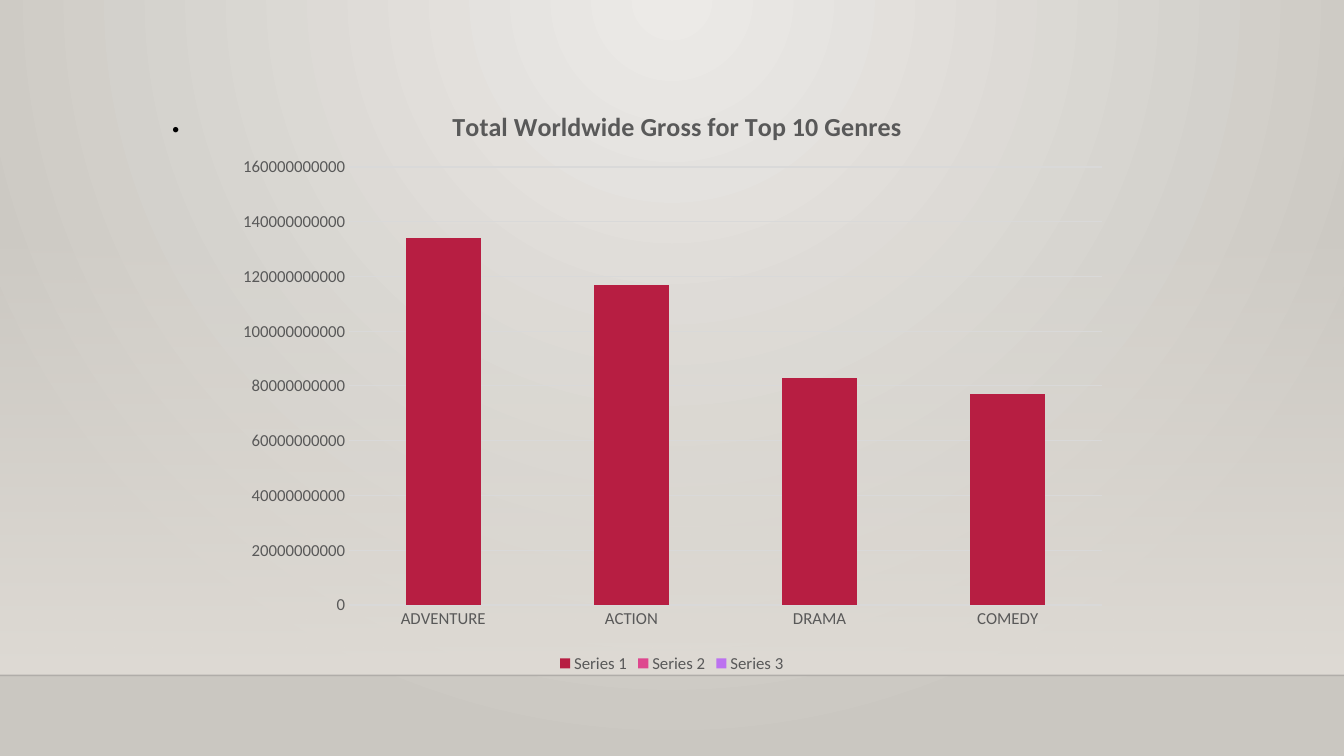
from lxml.etree import SubElement
from pptx import Presentation
from pptx.chart.data import CategoryChartData
from pptx.dml.color import RGBColor
from pptx.enum.chart import XL_CHART_TYPE, XL_LEGEND_POSITION, XL_TICK_MARK
from pptx.enum.shapes import MSO_CONNECTOR, MSO_SHAPE
from pptx.enum.text import MSO_ANCHOR
from pptx.oxml import parse_xml
from pptx.oxml.ns import nsdecls, qn
from pptx.util import Cm, Pt

COLORS = {
    "light": "ECEAE7", "dark": "CAC7C1", "floor": "DFDBD5", "edge": "000001",
    "text": "000000", "label": "595959", "grid": "D9D9D9",
    "Series 1": "B71E42", "Series 2": "DE478E", "Series 3": "BC72F0",
}
FONT = "Calibri"
WIDTH, HEIGHT, FLOOR_Y = 33.87, 19.05, 17.02
GENRES = ["ADVENTURE", "ACTION", "DRAMA", "COMEDY"]
SERIES = {
    "Series 1": [134e9, 117e9, 83e9, 77e9],
    "Series 2": [0] * 4,
    "Series 3": [0] * 4,
}


def rgb(name):
    return RGBColor.from_string(COLORS[name])


def set_font(f, size, color, bold=False):
    f.name, f.size, f.bold = FONT, Pt(size), bold
    f.color.rgb = rgb(color)


def set_line(line, color, width):
    line.color.rgb = rgb(color)
    line.width = Pt(width)


def set_gradient(fill, parent, stops, direction):
    fill.solid()
    gs = "".join(
        f'<a:gs pos="{pos * 1000}"><a:srgbClr val="{COLORS[name]}">'
        f'<a:alpha val="{alpha * 1000}"/></a:srgbClr></a:gs>'
        for pos, name, alpha in stops)
    grad = parse_xml(f'<a:gradFill {nsdecls("a")} rotWithShape="1">'
                     f'<a:gsLst>{gs}</a:gsLst>{direction}</a:gradFill>')
    parent.replace(parent.find(qn("a:solidFill")), grad)


def set_layout(element, index, **values):
    for old in element.findall(qn("c:layout")):
        element.remove(old)
    items = "".join(f'<c:{k} val="{v}"/>' for k, v in values.items())
    element.insert(index, parse_xml(
        f'<c:layout {nsdecls("c")}><c:manualLayout>{items}'
        '</c:manualLayout></c:layout>'))


def add_background(s):
    fill = s.background.fill
    fill.solid()
    set_gradient(fill, s._element.find(".//" + qn("p:bgPr")),
                 [(0, "light", 100), (100, "dark", 100)],
                 '<a:path path="circle"><a:fillToRect l="43000" r="43000" '
                 'b="100000"/></a:path>')


def add_floor(s):
    sp = s.shapes.add_shape(MSO_SHAPE.RECTANGLE, 0, Cm(5.61),
                            Cm(WIDTH), Cm(FLOOR_Y - 5.61))
    sp.shadow.inherit = False
    sp.line.fill.background()
    set_gradient(sp.fill, sp._element.spPr,
                 [(0, "floor", 0), (100, "floor", 100)],
                 '<a:lin ang="5400000" scaled="0"/>')


def add_edge(s):
    cn = s.shapes.add_connector(MSO_CONNECTOR.STRAIGHT, 0, Cm(FLOOR_Y),
                                Cm(WIDTH), Cm(FLOOR_Y))
    set_line(cn.line, "edge", 1)
    spPr = cn._element.spPr
    SubElement(spPr.find(".//" + qn("a:srgbClr")), qn("a:alpha"), val="20000")
    SubElement(spPr, qn("a:effectLst"))


def style_axis(axis):
    axis.major_tick_mark = axis.minor_tick_mark = XL_TICK_MARK.NONE
    set_font(axis.tick_labels.font, 12, "label")


def add_gross_chart(s):
    data = CategoryChartData()
    data.categories = GENRES
    for name, values in SERIES.items():
        data.add_series(name, values)
    chart = s.shapes.add_chart(XL_CHART_TYPE.COLUMN_STACKED, Cm(5.64), Cm(2.01),
                               Cm(22.58), Cm(15.06), data).chart
    set_font(chart.font, 10, "text")

    chart.has_title = True
    title = chart.chart_title
    p = title.text_frame.paragraphs[0]
    r = p.add_run()
    r.text = "Total Worldwide Gross for Top 10 Genres"
    set_font(r.font, 18.6, "label", bold=True)
    set_layout(title._element, 1, xMode="edge", yMode="edge", x=0.25, y=0.04)

    plot = chart.plots[0]
    plot.gap_width, plot.overlap, plot.vary_by_categories = 150, 100, False
    for series in plot.series:
        series.format.fill.solid()
        series.format.fill.fore_color.rgb = rgb(series.name)
    set_layout(chart._chartSpace.chart.plotArea, 0, layoutTarget="inner",
               xMode="edge", yMode="edge", x=0.14, y=0.146, w=0.84, h=0.733)

    cat, val = chart.category_axis, chart.value_axis
    style_axis(cat)
    style_axis(val)
    set_line(cat.format.line, "grid", 0.75)
    val.format.line.fill.background()
    set_line(val.major_gridlines.format.line, "grid", 0.75)
    val.minimum_scale, val.maximum_scale, val.major_unit = 0, 160e9, 20e9
    val.tick_labels.number_format = "0"
    val.tick_labels.number_format_is_linked = False

    chart.has_legend = True
    chart.legend.position = XL_LEGEND_POSITION.BOTTOM
    chart.legend.include_in_layout = False
    set_font(chart.legend.font, 12, "label")


def add_text(s, text, x, y, w, h, size, color, spacing):
    tf = s.shapes.add_textbox(Cm(x), Cm(y), Cm(w), Cm(h)).text_frame
    tf.word_wrap = True
    tf.vertical_anchor = MSO_ANCHOR.TOP
    p = tf.paragraphs[0]
    p.line_spacing = spacing
    r = p.add_run()
    r.text = text
    set_font(r.font, size, color)


def main():
    prs = Presentation()
    prs.slide_width, prs.slide_height = Cm(WIDTH), Cm(HEIGHT)
    s = prs.slides.add_slide(prs.slide_layouts[6])
    add_background(s)
    add_floor(s)
    add_edge(s)
    add_gross_chart(s)
    add_text(s, ".", x=4.04, y=2.24, w=26.67, h=2.92,
             size=32, color="text", spacing=0.9)
    prs.save("out.pptx")


main()
